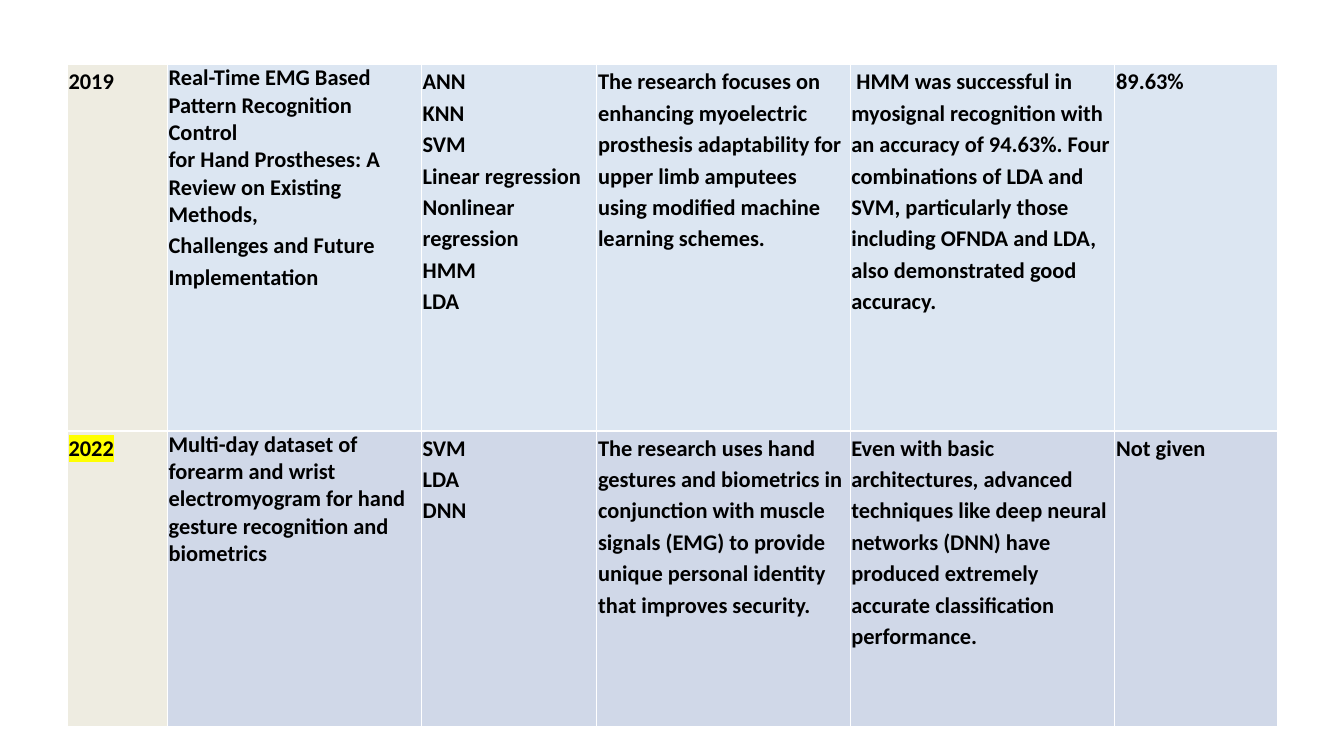
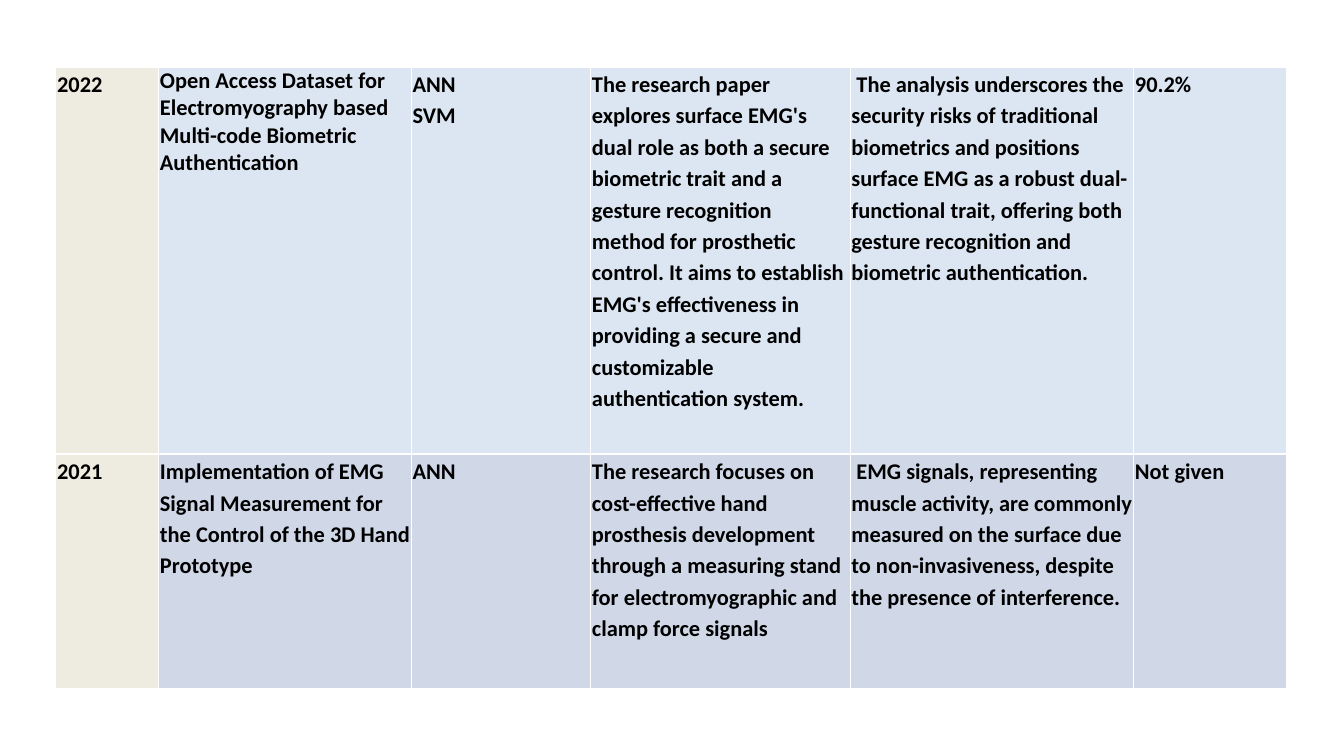
import dataclasses

import lxml.etree
import pptx
import pptx.dml.color
import pptx.oxml.ns
import pptx.slide
import pptx.table
import pptx.text.text
import pptx.util

EMU_PER_PX = 9144  # 100 px to the inch
FONT_NAME = "Calibri"
TEXT_SIZE = 24
LOOSE_SPACING = 1.15
CELL_MARGIN = 2
BLACK, WHITE, YELLOW = "000000", "FFFFFF", "FFFF00"
YEAR_FILL = "EEECE1"
ROW_FILLS = ("DCE6F2", "D0D8E8")
BORDER_SIDES = ("L", "R", "T", "B")
BORDER_WIDTH, DIVIDER_WIDTH = 1, 3


@dataclasses.dataclass(frozen=True)
class Study:
    year: str
    title: str
    methods: str
    focus: str
    findings: str
    accuracy: str
    height: int
    tight_title_lines: int = 1
    highlighted: bool = False


@dataclasses.dataclass(frozen=True)
class ReviewTable:
    left: int
    top: int
    widths: tuple[int, ...]
    studies: tuple[Study, ...]


REVIEWS = (
    ReviewTable(100, 96, (149, 378, 261, 377, 394, 242), (
        Study(
            "2019",
            "Real-Time EMG Based Pattern Recognition Control\n"
            "for Hand Prostheses: A Review on Existing Methods,\n"
            "Challenges and Future Implementation",
            "ANN\nKNN\nSVM\nLinear regression\nNonlinear regression\nHMM\nLDA",
            "The research focuses on enhancing myoelectric prosthesis adaptability "
            "for upper limb amputees using modified machine learning schemes.",
            " HMM was successful in myosignal recognition with an accuracy of 94.63%. "
            "Four combinations of LDA and SVM, particularly those including OFNDA "
            "and LDA, also demonstrated good accuracy.",
            "89.63%", height=545, tight_title_lines=2,
        ),
        Study(
            "2022",
            "Multi-day dataset of forearm and wrist electromyogram for hand "
            "gesture recognition and biometrics",
            "SVM\nLDA\nDNN",
            "The research uses hand gestures and biometrics in conjunction with muscle "
            "signals (EMG) to provide unique personal identity that improves security.",
            "Even with basic architectures, advanced techniques like deep neural "
            "networks (DNN) have produced extremely accurate classification performance.",
            "Not given", height=440, highlighted=True,
        ),
    )),
    ReviewTable(83, 100, (153, 376, 267, 386, 422, 228), (
        Study(
            "2022",
            "Open Access Dataset for Electromyography based Multi-code "
            "Biometric Authentication",
            "ANN\vSVM",
            "The research paper explores surface EMG's dual role as both a secure "
            "biometric trait and a gesture recognition method for prosthetic control. "
            "It aims to establish EMG's effectiveness in providing a secure and "
            "customizable authentication system.",
            " The analysis underscores the security risks of traditional biometrics "
            "and positions surface EMG as a robust dual-functional trait, offering "
            "both gesture recognition and biometric authentication.",
            "90.2%", height=576,
        ),
        Study(
            "2021",
            "Implementation of EMG Signal Measurement for the Control of the 3D "
            "Hand Prototype",
            "ANN",
            "The research focuses on cost-effective hand prosthesis development through "
            "a measuring stand for electromyographic and clamp force signals",
            " EMG signals, representing muscle activity, are commonly measured on the "
            "surface due to non-invasiveness, despite the presence of interference.",
            "Not given", height=349, tight_title_lines=0,
        ),
    )),
)


def px(length: int) -> pptx.util.Emu:
    return pptx.util.Emu(length * EMU_PER_PX)


def color(value: str) -> pptx.dml.color.RGBColor:
    return pptx.dml.color.RGBColor.from_string(value)


def add_color_element(parent: lxml.etree._Element, tag: str, value: str) -> lxml.etree._Element:
    """Append a DrawingML element that holds one RGB colour."""
    element = lxml.etree.SubElement(parent, pptx.oxml.ns.qn(tag))
    lxml.etree.SubElement(element, pptx.oxml.ns.qn("a:srgbClr"), val=value)
    return element


def set_borders(cell: pptx.table._Cell, bottom_width: int) -> None:
    properties = cell._tc.get_or_add_tcPr()
    for side in BORDER_SIDES:
        width = bottom_width if side == "B" else BORDER_WIDTH
        line = lxml.etree.SubElement(
            properties, pptx.oxml.ns.qn(f"a:ln{side}"), w=str(pptx.util.Pt(width))
        )
        add_color_element(line, "a:solidFill", WHITE)


def highlight(span: pptx.text.text._Run) -> None:
    properties = span._r.get_or_add_rPr()
    mark = add_color_element(properties, "a:highlight", YELLOW)
    properties.find(pptx.oxml.ns.qn("a:solidFill")).addnext(mark)


def fill_cell(cell: pptx.table._Cell, text: str, fill: str, tight_lines: int = 0) -> None:
    """Write the text, leaving its first tight_lines paragraphs single spaced."""
    cell.fill.solid()
    cell.fill.fore_color.rgb = color(fill)
    cell.margin_left = cell.margin_right = px(CELL_MARGIN)
    cell.margin_top = cell.margin_bottom = 0
    cell.text_frame.text = text
    for index, para in enumerate(cell.text_frame.paragraphs):
        para.line_spacing = 1.0 if index < tight_lines else LOOSE_SPACING
        for span in para.runs:
            span.font.size = pptx.util.Pt(TEXT_SIZE)
            span.font.name = FONT_NAME
            span.font.bold = True
            span.font.color.rgb = color(BLACK)


def draw_review(page: pptx.slide.Slide, review: ReviewTable) -> None:
    heights = [study.height for study in review.studies]
    table = page.shapes.add_table(
        len(heights), len(review.widths), px(review.left), px(review.top),
        px(sum(review.widths)), px(sum(heights)),
    ).table
    table.first_row = table.horz_banding = False
    for column, width in zip(table.columns, review.widths):
        column.width = px(width)

    for index, (study, row_fill) in enumerate(zip(review.studies, ROW_FILLS)):
        row = table.rows[index]
        row.height = px(study.height)
        year, title, *details = row.cells
        for cell in row.cells:
            set_borders(cell, DIVIDER_WIDTH if index == 0 else BORDER_WIDTH)
        fill_cell(year, study.year, YEAR_FILL)
        fill_cell(title, study.title, row_fill, study.tight_title_lines)
        texts = (study.methods, study.focus, study.findings, study.accuracy)
        for cell, text in zip(details, texts):
            fill_cell(cell, text, row_fill)
        if study.highlighted:
            highlight(year.text_frame.paragraphs[0].runs[0])


def main() -> None:
    deck = pptx.Presentation()
    deck.slide_width, deck.slide_height = px(2000), px(1125)
    blank_layout = deck.slide_layouts[6]
    for review in REVIEWS:
        page = deck.slides.add_slide(blank_layout)
        page.background.fill.solid()
        page.background.fill.fore_color.rgb = color(WHITE)
        draw_review(page, review)
    deck.save("out.pptx")


if __name__ == "__main__":
    main()
